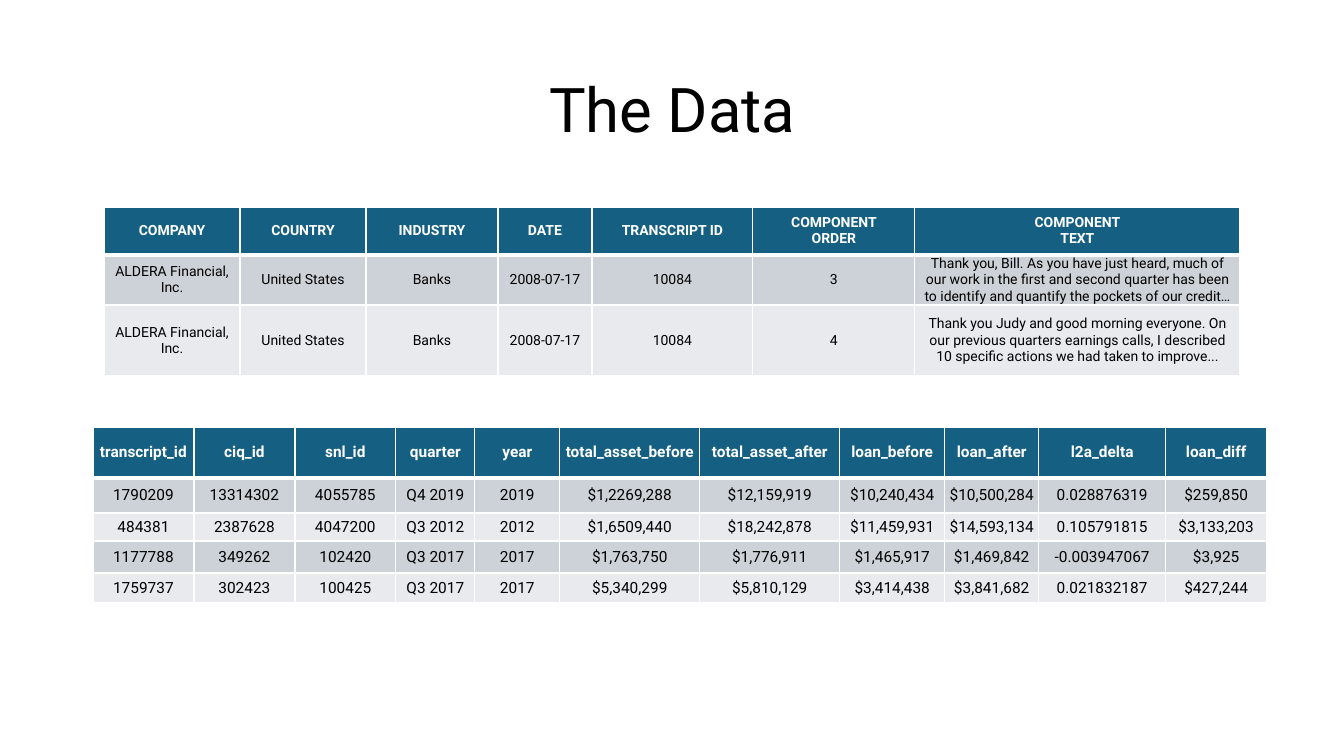
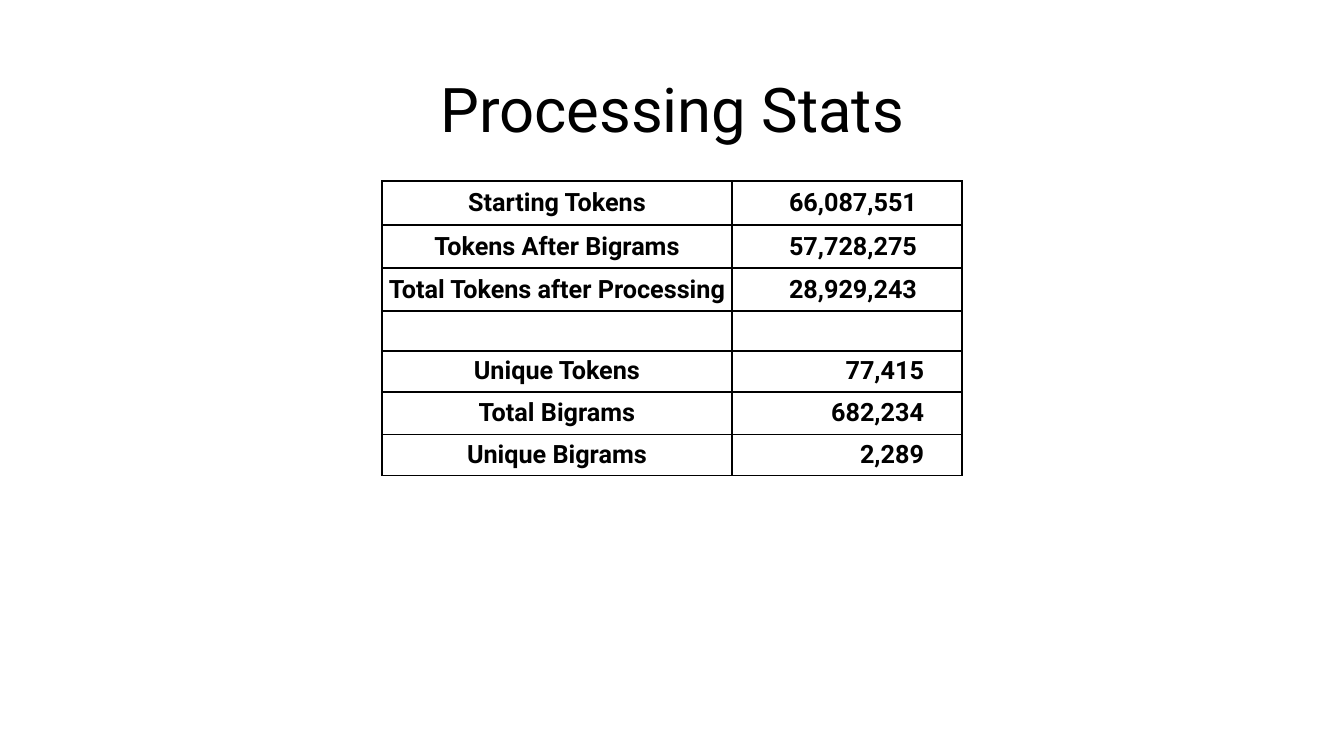
from lxml import etree
from pptx import Presentation
from pptx import util as u
from pptx.dml.color import RGBColor
from pptx.enum import text
from pptx.oxml.ns import qn

PX = 9071  # EMU in one px, 1344 px across the slide
FONT = "Roboto"
BLACK = RGBColor(0x00, 0x00, 0x00)
WHITE = RGBColor(0xFF, 0xFF, 0xFF)
HEADER_BLUE = RGBColor(0x15, 0x60, 0x82)
BANDS = [RGBColor(0xCC, 0xD2, 0xD8), RGBColor(0xE8, 0xEA, 0xED)]


def add_titled_slide(title_text):
    slide = presentation.slides.add_slide(presentation.slide_layouts[5])
    title = slide.shapes.title
    title.left, title.top, title.width, title.height = (n * PX for n in (93, 40, 1159, 146))
    title.text_frame.text = title_text
    title.text_frame.vertical_anchor = text.MSO_ANCHOR.MIDDLE
    paragraph = title.text_frame.paragraphs[0]
    paragraph.alignment = text.PP_ALIGN.CENTER
    paragraph.line_spacing = 0.9
    font = paragraph.runs[0].font
    font.name, font.size, font.color.rgb = FONT, u.Pt(44), BLACK
    return slide


def add_data_table(slide, left, top, widths, heights, rows, size, margin, banded=True):
    """Add a centred table: blue header and grey bands, or bold black text in a plain grid."""
    table = slide.shapes.add_table(len(rows), len(widths), left * PX, top * PX,
                                   sum(widths) * PX, sum(heights) * PX).table
    table.first_row = table.horz_banding = False
    for column, width in zip(table.columns, widths):
        column.width = width * PX
    for row, height in zip(table.rows, heights):
        row.height = height * PX

    for r, values in enumerate(rows):
        header = banded and r == 0
        for c, value in enumerate(values):
            cell = table.cell(r, c)
            cell.vertical_anchor = text.MSO_ANCHOR.MIDDLE
            cell.margin_left = cell.margin_right = margin * PX
            cell.margin_top = cell.margin_bottom = 0

            properties = cell._tc.get_or_add_tcPr()
            for side in "LRTB":
                thick = banded and (r, side) in ((0, "B"), (1, "T"))
                line = etree.SubElement(properties, qn(f"a:ln{side}"),
                                        w=str(u.Pt(3 if thick else 1)))
                fill = etree.SubElement(line, qn("a:solidFill"))
                etree.SubElement(fill, qn("a:srgbClr"), val=str(WHITE if banded else BLACK))
            if banded:
                cell.fill.solid()
                cell.fill.fore_color.rgb = HEADER_BLUE if header else BANDS[(r - 1) % 2]
            else:
                cell.fill.background()

            cell.text_frame.text = value
            for paragraph in cell.text_frame.paragraphs:
                paragraph.alignment = text.PP_ALIGN.CENTER
                for run in paragraph.runs:
                    run.font.name, run.font.size = FONT, u.Pt(size)
                    run.font.bold = header or not banded
                    run.font.color.rgb = WHITE if header else BLACK
    return table


presentation = Presentation()
presentation.slide_width = 1344 * PX
presentation.slide_height = 756 * PX

# The Data
data_slide = add_titled_slide("The Data")
transcripts = [
    ["COMPANY", "COUNTRY", "INDUSTRY", "DATE", "TRANSCRIPT ID",
     "COMPONENT\nORDER", "COMPONENT\nTEXT"],
    ["ALDERA Financial, Inc.", "United States", "Banks", "2008-07-17", "10084", "3",
     "Thank you, Bill. As you have just heard, much of our work in the first and second "
     "quarter has been to identify and quantify the pockets of our credit…"],
    ["ALDERA Financial, Inc.", "United States", "Banks", "2008-07-17", "10084", "4",
     "Thank you Judy and good morning everyone. On our previous quarters earnings calls, "
     "I described 10 specific actions we had taken to improve..."],
]
add_data_table(data_slide, 104, 207, [136, 126, 132, 94, 161, 162, 325], [48, 50, 71],
               transcripts, size=10, margin=7)

loans = [
    ["transcript_id", "ciq_id", "snl_id", "quarter", "year", "total_asset_before",
     "total_asset_after", "loan_before", "loan_after", "l2a_delta", "loan_diff"],
    ["1790209", "13314302", "4055785", "Q4 2019", "2019", "$1,2269,288",
     "$12,159,919", "$10,240,434", "$10,500,284", "0.028876319", "$259,850"],
    ["484381", "2387628", "4047200", "Q3 2012", "2012", "$1,6509,440",
     "$18,242,878", "$11,459,931", "$14,593,134", "0.105791815", "$3,133,203"],
    ["1177788", "349262", "102420", "Q3 2017", "2017", "$1,763,750",
     "$1,776,911", "$1,465,917", "$1,469,842", "-0.003947067", "$3,925"],
    ["1759737", "302423", "100425", "Q3 2017", "2017", "$5,340,299",
     "$5,810,129", "$3,414,438", "$3,841,682", "0.021832187", "$427,244"],
]
add_data_table(data_slide, 93, 427, [101, 101, 101, 79, 85, 140, 140, 105, 94, 127, 101],
               [51, 35, 28, 32, 30], loans, size=11, margin=1)

# Processing Stats
stats_slide = add_titled_slide("Processing Stats")
stats = [
    ["Starting Tokens", "66,087,551"],
    ["Tokens After Bigrams", "57,728,275"],
    ["Total Tokens after Processing", "28,929,243"],
    ["", ""],
    ["Unique Tokens", "77,415"],
    ["Total Bigrams", "682,234"],
    ["Unique Bigrams", "2,289"],
]
stats_table = add_data_table(stats_slide, 382, 181, [350, 230], [44, 43, 43, 40, 41, 43, 41],
                             stats, size=18, margin=1, banded=False)
for r in range(len(stats)):
    count_cell = stats_table.cell(r, 1)
    count_cell.margin_right = (45 if r < 3 else 38) * PX
    count_cell.text_frame.paragraphs[0].alignment = text.PP_ALIGN.RIGHT

presentation.save("out.pptx")
